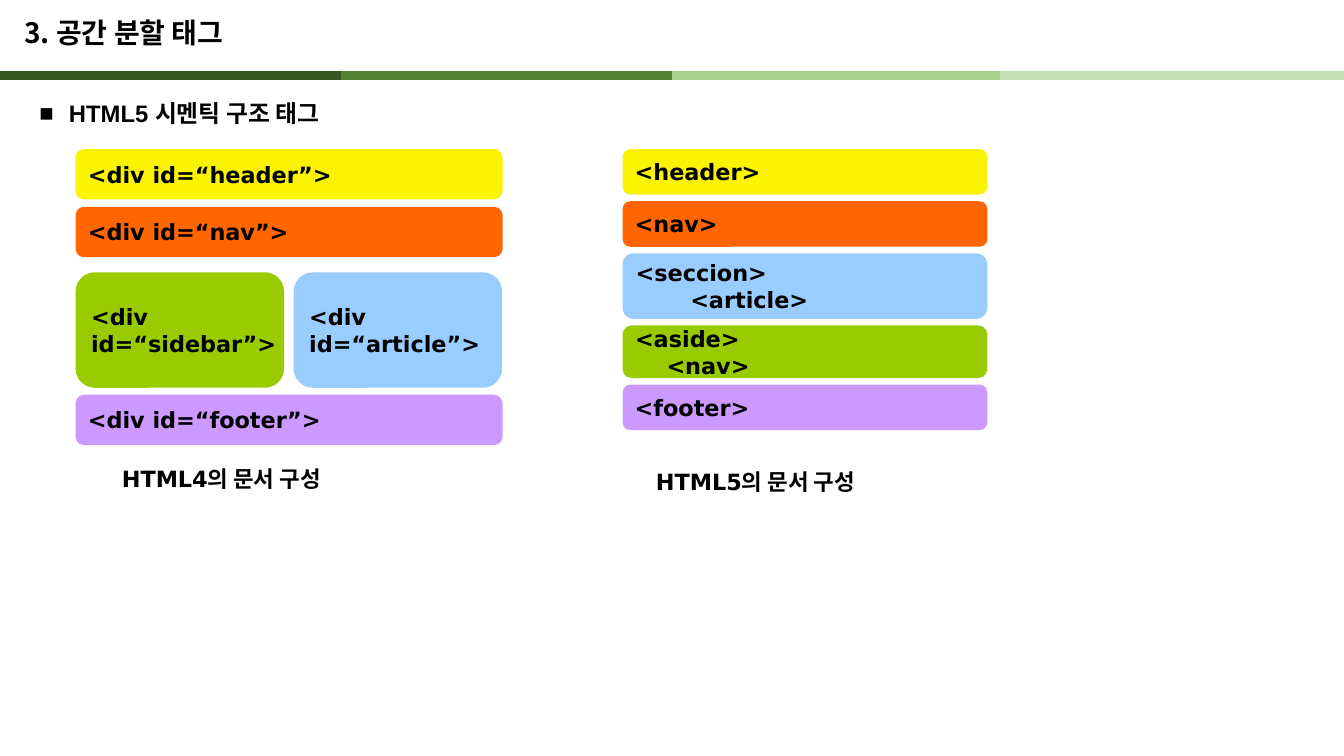
"""Build the slide that compares HTML4 and HTML5 document structure."""
from lxml.etree import SubElement
from pptx import Presentation
from pptx.dml.color import RGBColor
from pptx.enum.shapes import MSO_CONNECTOR as CONNECTOR, MSO_SHAPE as SHAPE
from pptx.enum.text import MSO_ANCHOR as ANCHOR, MSO_AUTO_SIZE as AUTO_SIZE, PP_ALIGN as ALIGN
from pptx.oxml.ns import qn
from pptx.util import Pt

HANGUL_FONT = "Noto Sans CJK KR"
YELLOW, ORANGE, GREEN, BLUE, PURPLE = "FAF400", "FF6600", "99CC00", "99CCFF", "CC99FF"


def color(hex_code):
    return RGBColor.from_string(hex_code)


def write(shape, lines, font, size, anchor, wrap=True):
    frame = shape.text_frame
    frame_format = {"auto_size": AUTO_SIZE.NONE, "vertical_anchor": anchor, "word_wrap": wrap}
    for key, value in frame_format.items():
        setattr(frame, key, value)
    for number, line in enumerate(lines):
        paragraph = frame.add_paragraph() if number else frame.paragraphs[0]
        paragraph.text = line
        paragraph.alignment = ALIGN.LEFT
        for run in paragraph.runs:
            for key, value in {"name": font, "size": Pt(size), "bold": True}.items():
                setattr(run.font, key, value)
            run.font.color.rgb = color("000000")
            SubElement(run.font._element, qn("a:ea"), typeface=HANGUL_FONT)
    return frame.paragraphs


deck = Presentation()
deck.slide_width, deck.slide_height = Pt(960), Pt(540)
slide = deck.slides.add_slide(deck.slide_layouts[1])
heading, topic = slide.placeholders

band_edges = [0, 243.5, 480, 714.5, 960]
band_colors = ["385723", "548235", "A9D18E", "C5E0B4"]
for start, end, shade in zip(band_edges, band_edges[1:], band_colors):
    band = slide.shapes.add_connector(CONNECTOR.STRAIGHT, Pt(start), Pt(54), Pt(end), Pt(54))
    band.line.color.rgb = color(shade)
    band.line.width = Pt(6)
    SubElement(band._element.spPr, qn("a:effectLst"))

for part, box in [(heading, (10, 8, 595.5, 32.5)), (topic, (21, 61, 905, 34))]:
    for side, length in zip(("left", "top", "width", "height"), box):
        setattr(part, side, Pt(length))
write(heading, ["3. 공간 분할 태그"], HANGUL_FONT, 20, ANCHOR.MIDDLE)[0].line_spacing = 0.9
topic_line = write(topic, ["HTML5 시멘틱 구조 태그"], "Arial", 17, ANCHOR.TOP)[0]
topic_line.line_spacing = 1.3
topic_line.space_before = Pt(0)
topic_format = topic_line._p.get_or_add_pPr()
for key, value in {"marL": Pt(21), "indent": Pt(-21)}.items():
    topic_format.set(key, str(value))
SubElement(topic_format, qn("a:buChar"), char="■")

blocks = [
    (54, 106.5, 305, 36, YELLOW, ["<div id=“header”>"], 0),
    (54, 147.75, 305, 36, ORANGE, ["<div id=“nav”>"], 0),
    (54, 194.5, 149, 82.5, GREEN, ["<div\nid=“sidebar”>"], 0),
    (209.75, 194.5, 149, 82.5, BLUE, ["<div\nid=“article”>"], 0),
    (54, 282, 305, 36, PURPLE, ["<div id=“footer”>"], 0),
]
html5_top = 106.5
for height, fill, lines, indent in [
    (32.5, YELLOW, ["<header>"], 0),
    (32.5, ORANGE, ["<nav>"], 0),
    (46.75, BLUE, ["<seccion>", "<article>"], 39),
    (37.5, GREEN, ["<aside>", "<nav>"], 22.5),
    (32.5, PURPLE, ["<footer>"], 0),
]:
    blocks.append((444.75, html5_top, 260.5, height, fill, lines, indent))
    html5_top += height + 4.75

for left, top, width, height, fill, lines, indent in blocks:
    block = slide.shapes.add_shape(
        SHAPE.ROUNDED_RECTANGLE, Pt(left), Pt(top), Pt(width), Pt(height))
    block.shadow.inherit = False
    block.fill.solid()
    block.fill.fore_color.rgb = color(fill)
    block.line.fill.background()
    for nested in write(block, lines, "DejaVu Sans", 16, ANCHOR.MIDDLE, False)[1:]:
        nested._p.get_or_add_pPr().set("marL", str(Pt(indent)))

for left, top, width, caption in [
    (80, 328.5, 246, "HTML4의 문서 구성"),
    (461.5, 330.5, 210, "HTML5의 문서 구성"),
]:
    label = slide.shapes.add_textbox(Pt(left), Pt(top), Pt(width), Pt(23))
    write(label, [caption], "DejaVu Sans", 16, ANCHOR.TOP)

deck.save("out.pptx")
